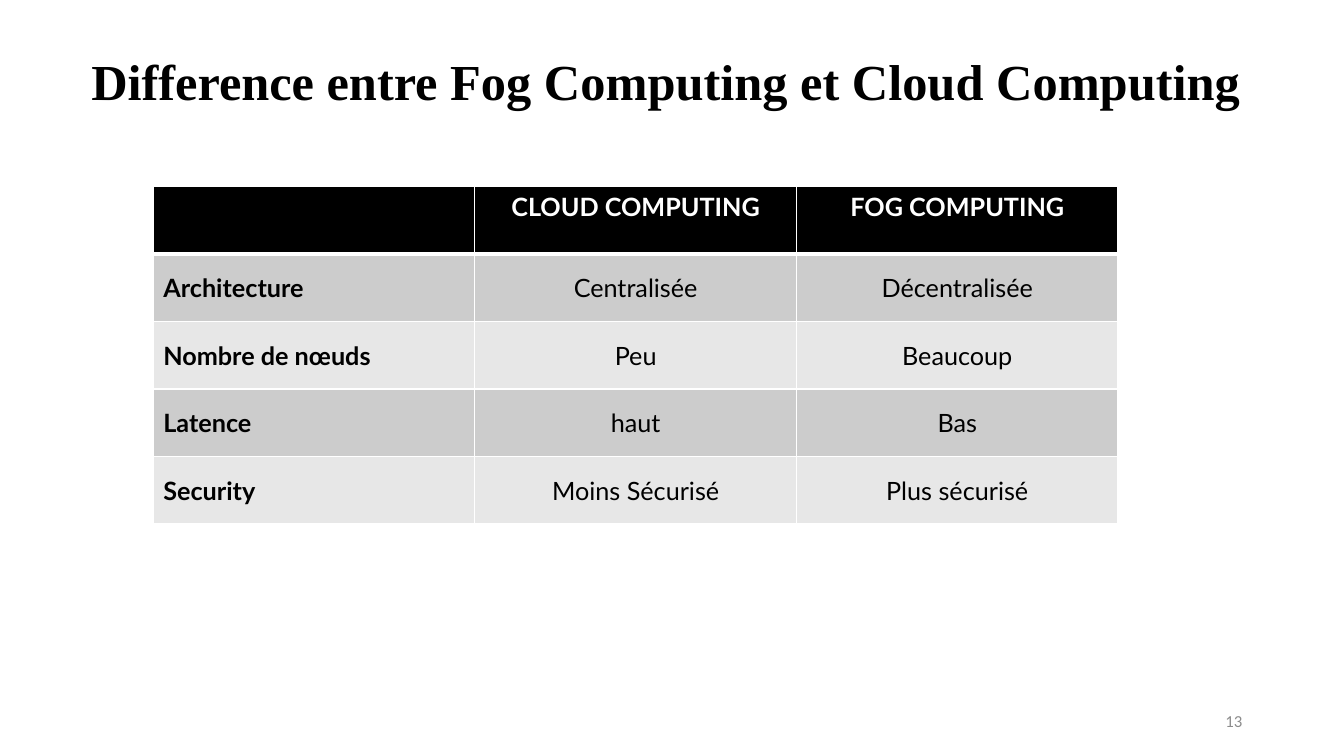
from dataclasses import dataclass

from lxml import etree
from pptx import Presentation
from pptx import util as u
from pptx.dml.color import RGBColor
from pptx.enum import text
from pptx.oxml import ns

BLACK = RGBColor(0x00, 0x00, 0x00)
WHITE = RGBColor(0xFF, 0xFF, 0xFF)
NUMBER_GRAY = RGBColor(0x8C, 0x8C, 0x8C)
BAND_DARK = RGBColor(0xCC, 0xCC, 0xCC)
BAND_LIGHT = RGBColor(0xE7, 0xE7, 0xE7)
LEFT, CENTER, RIGHT = text.PP_ALIGN.LEFT, text.PP_ALIGN.CENTER, text.PP_ALIGN.RIGHT
TOP, MIDDLE = text.MSO_ANCHOR.TOP, text.MSO_ANCHOR.MIDDLE
COLUMN_WIDTH = 3.19
ROW_HEIGHT = 0.67


@dataclass(frozen=True)
class ComparisonRow:
    criterion: str
    cloud: str
    fog: str


HEADER = ComparisonRow("", "CLOUD COMPUTING", "FOG COMPUTING")
CRITERIA = [
    ComparisonRow("Architecture", "Centralisée", "Décentralisée"),
    ComparisonRow("Nombre de nœuds", "Peu", "Beaucoup"),
    ComparisonRow("Latence", "haut", "Bas"),
    ComparisonRow("Security", "Moins Sécurisé", "Plus sécurisé"),
]


def write_text(frame, words: str, *, size: float, font: str = "Lato",
               color: RGBColor = BLACK, bold: bool = False,
               align=CENTER, line_spacing: float = 1.0) -> None:
    paragraph = frame.paragraphs[0]
    paragraph.alignment = align
    paragraph.line_spacing = line_spacing
    if not words:
        return
    run = paragraph.add_run()
    run.text = words
    run.font.size = u.Pt(size)
    run.font.name = font
    run.font.bold = bold
    run.font.color.rgb = color


def add_text_box(slide, left: float, top: float, width: float, height: float,
                 anchor, top_margin: float = 0.05):
    box = slide.shapes.add_textbox(*map(u.Inches, (left, top, width, height)))
    frame = box.text_frame
    frame.word_wrap = True
    frame.vertical_anchor = anchor
    frame.margin_top = u.Inches(top_margin)
    return frame


def set_borders(cell, color: RGBColor, **widths: float) -> None:
    properties = cell._tc.get_or_add_tcPr()
    for side, width in widths.items():
        line = etree.SubElement(properties, ns.qn(f"a:ln{side}"), w=str(u.Pt(width)))
        fill = etree.SubElement(line, ns.qn("a:solidFill"))
        etree.SubElement(fill, ns.qn("a:srgbClr"), val=str(color))


def add_comparison_table(slide, left: float, top: float) -> None:
    rows = [HEADER, *CRITERIA]
    table = slide.shapes.add_table(
        len(rows), 3, u.Inches(left), u.Inches(top),
        u.Inches(3 * COLUMN_WIDTH), u.Inches(len(rows) * ROW_HEIGHT)).table
    for column in table.columns:
        column.width = u.Inches(COLUMN_WIDTH)
    for row_index, row in enumerate(rows):
        table.rows[row_index].height = u.Inches(ROW_HEIGHT)
        is_header = row_index == 0
        band = BAND_DARK if row_index % 2 else BAND_LIGHT
        for column_index, words in enumerate((row.criterion, row.cloud, row.fog)):
            cell = table.cell(row_index, column_index)
            cell.vertical_anchor = TOP if is_header else MIDDLE
            set_borders(cell, WHITE, L=1, R=1, T=3 if row_index == 1 else 1,
                        B=3 if is_header else 1)
            cell.fill.solid()
            cell.fill.fore_color.rgb = BLACK if is_header else band
            write_text(cell.text_frame, words, size=18,
                       color=WHITE if is_header else BLACK,
                       bold=is_header or column_index == 0,
                       align=CENTER if column_index else LEFT)


def main() -> None:
    presentation = Presentation()
    presentation.slide_width = u.Inches(13.33)
    presentation.slide_height = u.Inches(7.5)
    slide = presentation.slides.add_slide(presentation.slide_layouts[6])

    title = add_text_box(slide, 0.27, 0.4, 12.67, 1.45, TOP, top_margin=0.17)
    write_text(title, "Difference entre Fog Computing et Cloud Computing",
               size=36, font="Times New Roman", bold=True, line_spacing=0.9)
    number = add_text_box(slide, 9.42, 6.95, 3, 0.4, MIDDLE)
    write_text(number, "13", size=12, font="Calibri", color=NUMBER_GRAY, align=RIGHT)
    add_comparison_table(slide, 1.52, 1.85)

    presentation.save("out.pptx")


if __name__ == "__main__":
    main()
